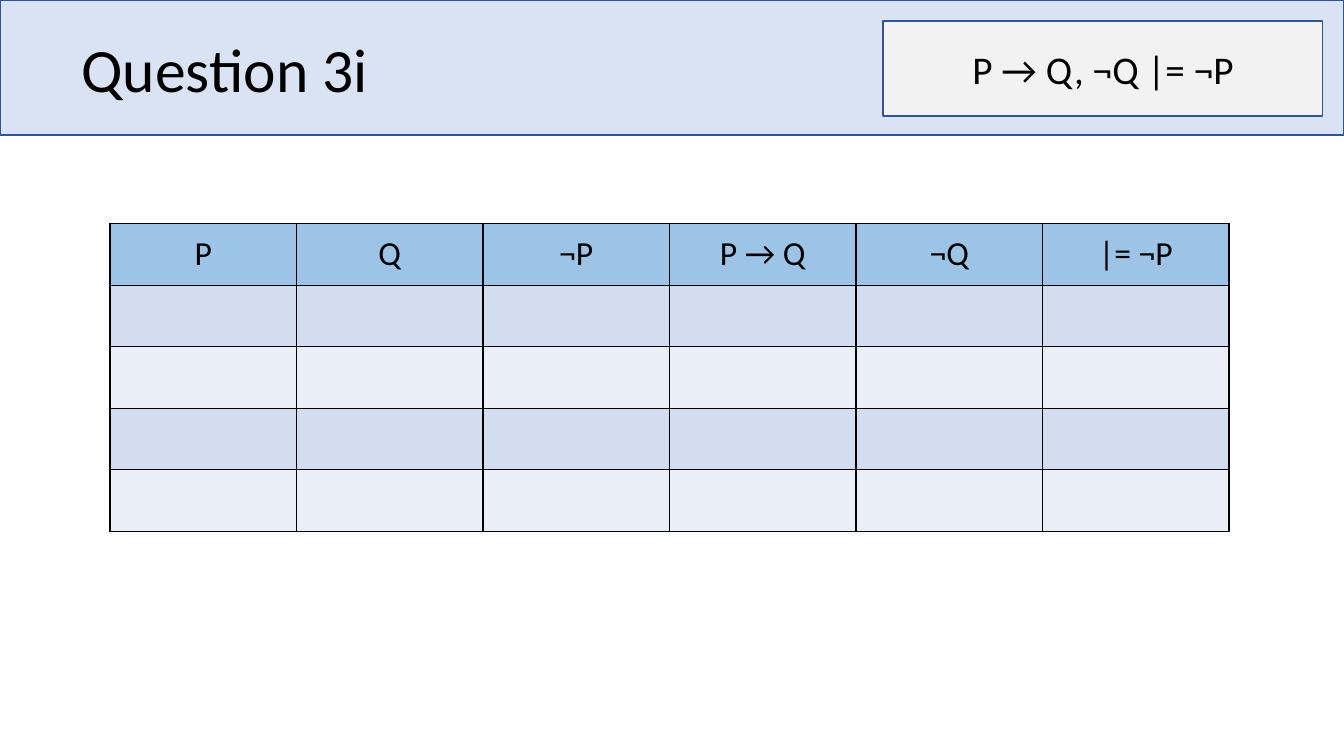
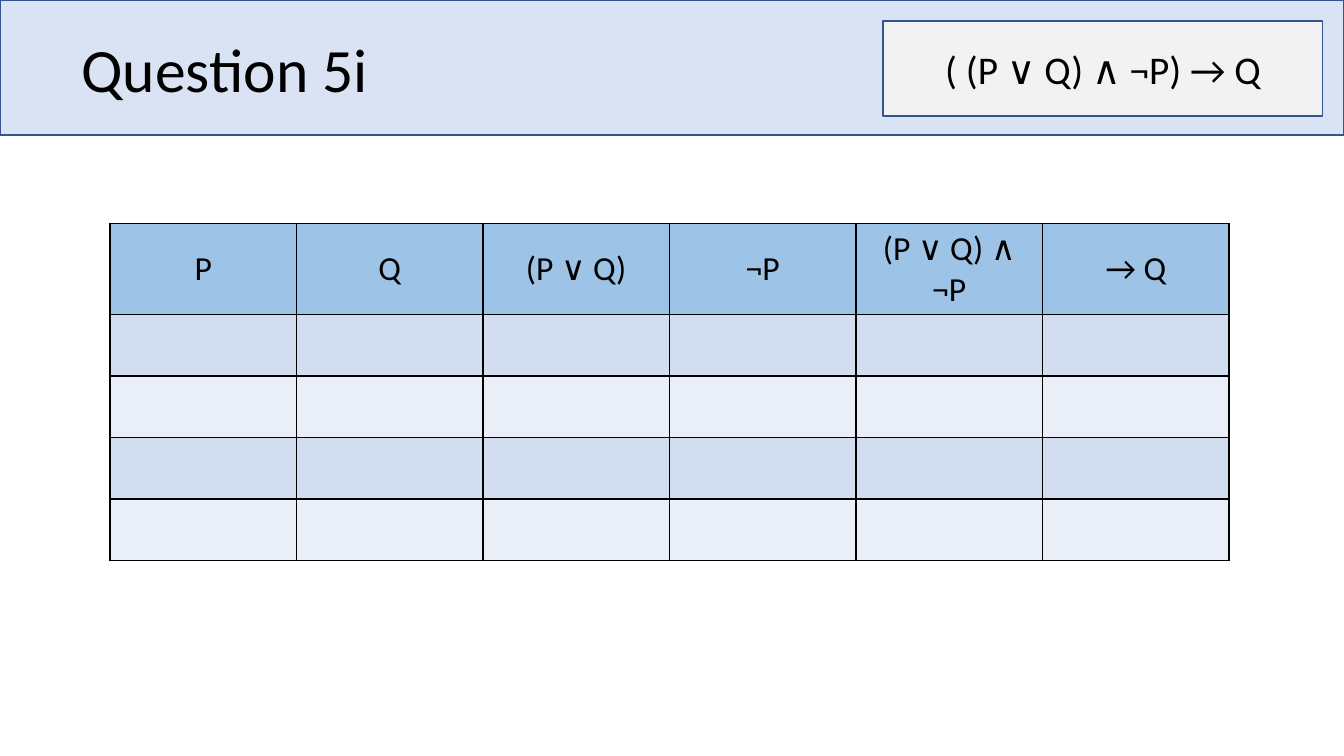
from lxml.etree import SubElement
from pptx import Presentation
from pptx.dml.color import RGBColor
from pptx.enum.shapes import MSO_SHAPE
from pptx.enum.text import MSO_ANCHOR, PP_ALIGN
from pptx.oxml.ns import qn
from pptx.util import Inches, Pt

QUESTIONS = [
    ("Question 3i", "P → Q, ¬Q |= ¬P",
     ["P", "Q", "¬P", "P → Q", "¬Q", "|= ¬P"]),
    ("Question 5i", "( (P ∨ Q) ∧ ¬P) → Q",
     ["P", "Q", "(P ∨ Q)", "¬P", "(P ∨ Q) ∧ ¬P", "→ Q"]),
]
COLORS = {
    "band": "DAE3F3", "formula": "F2F2F2", "outline": "325491", "text": "000000",
    "header": "9DC3E6", "odd": "D2DEEF", "even": "EAEFF7", "border": "000000",
}
FONT = "Calibri"
TRUTH_ROWS = 4
COL_W, ROW_H = 1.85, 0.61


def rgb(name):
    return RGBColor.from_string(COLORS[name])


def write(tf, text, size, align):
    tf.text = text
    p = tf.paragraphs[0]
    p.alignment = align
    font = p.runs[0].font
    font.name, font.size, font.color.rgb = FONT, Pt(size), rgb("text")
    return p


def add_box(s, at, fill):
    sp = s.shapes.add_shape(MSO_SHAPE.RECTANGLE, *map(Inches, at))
    sp.shadow.inherit = False
    sp.fill.solid()
    sp.fill.fore_color.rgb = rgb(fill)
    sp.line.color.rgb = rgb("outline")
    sp.line.width = Pt(1)
    return sp


def add_header(s, title, formula):
    add_box(s, (0, 0, 13.33, 1.34), "band")
    tf = s.shapes.add_textbox(*map(Inches, (0.71, -0.01, 11.5, 1.45))).text_frame
    tf.word_wrap = True
    tf.vertical_anchor = MSO_ANCHOR.MIDDLE
    write(tf, title, 44, PP_ALIGN.LEFT).line_spacing = 0.9
    tf = add_box(s, (8.76, 0.21, 4.36, 0.94), "formula").text_frame
    tf.word_wrap = True
    tf.vertical_anchor = MSO_ANCHOR.MIDDLE
    write(tf, formula, 28, PP_ALIGN.CENTER)


def style_cell(cell, fill):
    tc_pr = cell._tc.get_or_add_tcPr()
    for side in ("a:lnL", "a:lnR", "a:lnT", "a:lnB"):
        ln = SubElement(tc_pr, qn(side), w=str(Pt(1)))
        solid = SubElement(ln, qn("a:solidFill"))
        SubElement(solid, qn("a:srgbClr"), val=COLORS["border"])
    cell.fill.solid()
    cell.fill.fore_color.rgb = rgb(fill)
    cell.vertical_anchor = MSO_ANCHOR.MIDDLE


def add_truth_table(s, headings):
    rows, cols = TRUTH_ROWS + 1, len(headings)
    size = (1.09, 2.22, COL_W * cols, ROW_H * rows)
    table = s.shapes.add_table(rows, cols, *map(Inches, size)).table
    table.first_row = table.horz_banding = False
    for r in range(rows):
        fill = "header" if r == 0 else "odd" if r % 2 else "even"
        for c in range(cols):
            style_cell(table.cell(r, c), fill)
    for c, heading in enumerate(headings):
        write(table.cell(0, c).text_frame, heading, 24, PP_ALIGN.CENTER)


def main():
    prs = Presentation()
    prs.slide_width, prs.slide_height = Inches(13.33), Inches(7.5)
    for title, formula, headings in QUESTIONS:
        s = prs.slides.add_slide(prs.slide_layouts[6])
        add_header(s, title, formula)
        add_truth_table(s, headings)
    prs.save("out.pptx")


if __name__ == "__main__":
    main()
